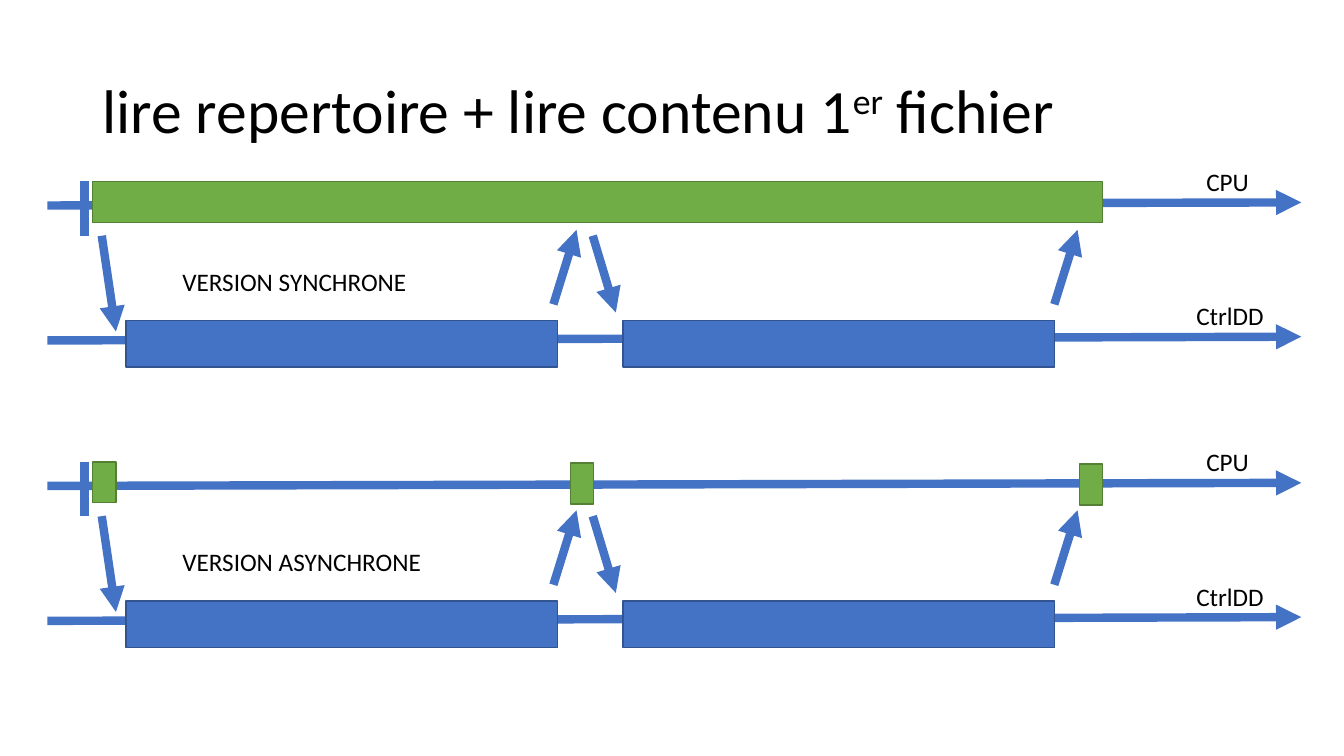
from lxml import etree
from pptx import Presentation
from pptx.dml.color import RGBColor
from pptx.enum import shapes, text
from pptx.oxml.ns import qn
from pptx.util import Pt

BLACK = RGBColor(0x00, 0x00, 0x00)
BLUE = RGBColor(0x44, 0x72, 0xC4)
BLUE_EDGE = RGBColor(0x32, 0x54, 0x91)
GREEN = RGBColor(0x70, 0xAD, 0x47)
GREEN_EDGE = RGBColor(0x53, 0x80, 0x35)
FONT = "Calibri"

TITLE = [("lire repertoire + lire contenu 1", False), ("er", True), (" fichier", False)]

# Every height below is measured from the top of the CPU bar of its timeline.
# Timeline: top, caption, caption width, CPU bars (left, drop, width)
TIMELINES = [
    (129.6, "VERSION SYNCHRONE", 176.4, [(66.2, 0, 721.4)]),
    (329.9, "VERSION ASYNCHRONE", 186.5,
     [(66.2, 0, 16.6), (407.5, 0.9, 16.6), (771.1, 1.6, 16.6)]),
]
# Axis: name, start height, end height, label left, label top, label width
AXES = [
    ("CPU", 17.2, 15, 854.6, -14.6, 45.4),
    ("CtrlDD", 113.6, 110.9, 847.4, 81.5, 63.4),
]
AXIS_LEFT, AXIS_RIGHT = 33.8, 929.5
TICK_X, TICK_HEIGHT = 60.5, 38.8
CPU_HEIGHT = 29.2
DISK_LEFTS, DISK_TOP, DISK_WIDTH, DISK_HEIGHT = (90, 445), 99.5, 308.2, 33.1
CAPTION_LEFT, CAPTION_TOP = 123.1, 56.9
LABEL_HEIGHT = 29.1
# Signals between CPU and disk: x and height of the start, then of the end
SIGNALS = [
    (72.7, 38.8, 82.8, 107.2),
    (395.3, 87.8, 411.8, 34.6),
    (423.4, 38.8, 439.9, 93.6),
    (753.1, 87.8, 769.7, 34.6),
]


def add_line(slide, x1, y1, x2, y2, arrow=True):
    line = slide.shapes.add_connector(
        shapes.MSO_CONNECTOR.STRAIGHT, Pt(x1), Pt(y1), Pt(x2), Pt(y2))
    line.line.color.rgb = BLUE
    line.line.width = Pt(6)
    if arrow:
        etree.SubElement(line.line._get_or_add_ln(), qn("a:tailEnd"), type="triangle")
    etree.SubElement(line._element.spPr, qn("a:effectLst"))


def add_bar(slide, left, top, width, height, fill, edge):
    bar = slide.shapes.add_shape(
        shapes.MSO_SHAPE.RECTANGLE, Pt(left), Pt(top), Pt(width), Pt(height))
    bar.shadow.inherit = False
    bar.fill.solid()
    bar.fill.fore_color.rgb = fill
    bar.line.color.rgb = edge
    bar.line.width = Pt(1)


def set_font(para, size):
    para.font.name = FONT
    para.font.size = Pt(size)
    para.font.color.rgb = BLACK


def add_label(slide, words, left, top, width):
    box = slide.shapes.add_textbox(Pt(left), Pt(top), Pt(width), Pt(LABEL_HEIGHT))
    frame = box.text_frame
    frame.word_wrap = False
    frame.auto_size = text.MSO_AUTO_SIZE.SHAPE_TO_FIT_TEXT
    frame.text = words
    set_font(frame.paragraphs[0], 18)


def add_title(slide):
    title = slide.shapes.title
    title.left, title.top, title.width, title.height = Pt(66), Pt(28.8), Pt(828), Pt(104.4)
    title.text_frame.vertical_anchor = text.MSO_ANCHOR.MIDDLE
    para = title.text_frame.paragraphs[0]
    para.alignment = text.PP_ALIGN.LEFT
    para.line_spacing = 0.9
    set_font(para, 44)
    for words, raised in TITLE:
        span = para.add_run()
        span.text = words
        if raised:
            span.font._element.set("baseline", "30000")


def add_timeline(slide, top, caption, caption_width, cpu_bars):
    for name, start, end, left, label_top, width in AXES:
        add_line(slide, AXIS_LEFT, top + start, AXIS_RIGHT, top + end)
        add_label(slide, name, left, top + label_top, width)
    add_line(slide, TICK_X, top, TICK_X, top + TICK_HEIGHT, arrow=False)
    for left, drop, width in cpu_bars:
        add_bar(slide, left, top + drop, width, CPU_HEIGHT, GREEN, GREEN_EDGE)
    for left in DISK_LEFTS:
        add_bar(slide, left, top + DISK_TOP, DISK_WIDTH, DISK_HEIGHT, BLUE, BLUE_EDGE)
    for x1, y1, x2, y2 in SIGNALS:
        add_line(slide, x1, top + y1, x2, top + y2)
    add_label(slide, caption, CAPTION_LEFT, top + CAPTION_TOP, caption_width)


def main():
    deck = Presentation()
    deck.slide_width, deck.slide_height = Pt(960), Pt(540)
    page = deck.slides.add_slide(deck.slide_layouts[5])
    add_title(page)
    for timeline in TIMELINES:
        add_timeline(page, *timeline)
    deck.save("out.pptx")


if __name__ == "__main__":
    main()
